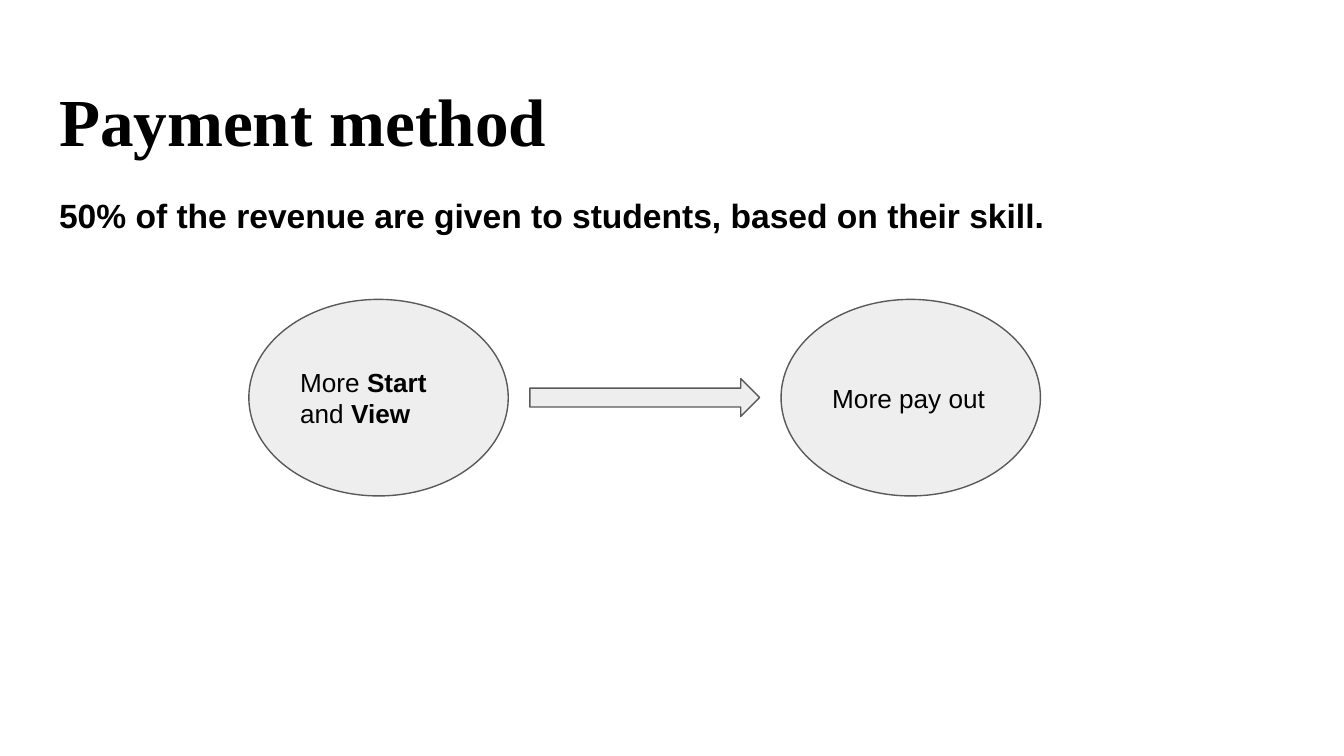
from dataclasses import dataclass

from pptx import Presentation
from pptx.dml.color import RGBColor
from pptx.enum.shapes import MSO_SHAPE
from pptx.enum.text import MSO_ANCHOR, PP_ALIGN
from pptx.shapes.base import BaseShape
from pptx.slide import Slide
from pptx.util import Inches, Pt


@dataclass(frozen=True)
class Theme:
    ink: RGBColor = RGBColor(0x00, 0x00, 0x00)
    fill: RGBColor = RGBColor(0xEE, 0xEE, 0xEE)
    edge: RGBColor = RGBColor(0x59, 0x59, 0x59)
    serif: str = "Times New Roman"
    sans: str = "Arial"
    head: int = 36
    lead: int = 18
    body: int = 14
    line: float = 0.75
    pad: float = 0.1


@dataclass(frozen=True)
class Box:
    left: float
    top: float
    width: float
    height: float


@dataclass(frozen=True)
class Run:
    text: str
    bold: bool = False


@dataclass(frozen=True)
class Label:
    box: Box
    run: Run
    font: str
    size: int


@dataclass(frozen=True)
class Step:
    kind: MSO_SHAPE
    width: float
    height: float
    runs: tuple[Run, ...] = ()


THEME = Theme()
WIDE = 10
HIGH = WIDE * 9 / 16
START, GAP, MIDDLE = 18.52, 1.6, 52.6

LABELS = (
    Label(Box(3.41, 8.7, 93.2, 11.2), Run("Payment method", True),
          THEME.serif, THEME.head),
    Label(Box(3.41, 24, 89.1, 6.93),
          Run("50% of the revenue are given to students, based on their skill.", True),
          THEME.sans, THEME.lead),
)
STEPS = (
    Step(MSO_SHAPE.OVAL, 19.3, 26,
         (Run("More "), Run("Start ", True), Run("and "), Run("View", True))),
    Step(MSO_SHAPE.RIGHT_ARROW, 17.1, 5),
    Step(MSO_SHAPE.OVAL, 19.3, 26, (Run("More pay out"),)),
)


def place(box: Box) -> tuple[int, int, int, int]:
    return (Inches(WIDE * box.left / 100), Inches(HIGH * box.top / 100),
            Inches(WIDE * box.width / 100), Inches(HIGH * box.height / 100))


def write(shape: BaseShape, runs: tuple[Run, ...], font: str, size: int,
          anchor: MSO_ANCHOR) -> None:
    frame = shape.text_frame
    pad = Inches(THEME.pad)
    style = {"word_wrap": True, "vertical_anchor": anchor, "margin_left": pad,
             "margin_right": pad, "margin_top": pad, "margin_bottom": pad}
    for key, value in style.items():
        setattr(frame, key, value)
    para = frame.paragraphs[0]
    para.alignment = PP_ALIGN.LEFT
    for item in runs:
        run = para.add_run()
        run.text = item.text
        form = {"name": font, "size": Pt(size), "bold": item.bold}
        for key, value in form.items():
            setattr(run.font, key, value)
        run.font.color.rgb = THEME.ink


def label(slide: Slide, item: Label) -> None:
    shape = slide.shapes.add_textbox(*place(item.box))
    write(shape, (item.run,), item.font, item.size, MSO_ANCHOR.TOP)


def flow(slide: Slide, steps: tuple[Step, ...]) -> None:
    left = START
    for step in steps:
        box = Box(left, MIDDLE - step.height / 2, step.width, step.height)
        shape = slide.shapes.add_shape(step.kind, *place(box))
        shape.shadow.inherit = False
        shape.fill.solid()
        shape.fill.fore_color.rgb = THEME.fill
        shape.line.color.rgb = THEME.edge
        shape.line.width = Pt(THEME.line)
        if step.runs:
            write(shape, step.runs, THEME.sans, THEME.body, MSO_ANCHOR.MIDDLE)
        left += step.width + GAP


def main() -> None:
    deck = Presentation()
    deck.slide_width, deck.slide_height = Inches(WIDE), Inches(HIGH)
    slide = deck.slides.add_slide(deck.slide_layouts[6])
    for item in LABELS:
        label(slide, item)
    flow(slide, STEPS)
    deck.save("out.pptx")


if __name__ == "__main__":
    main()
